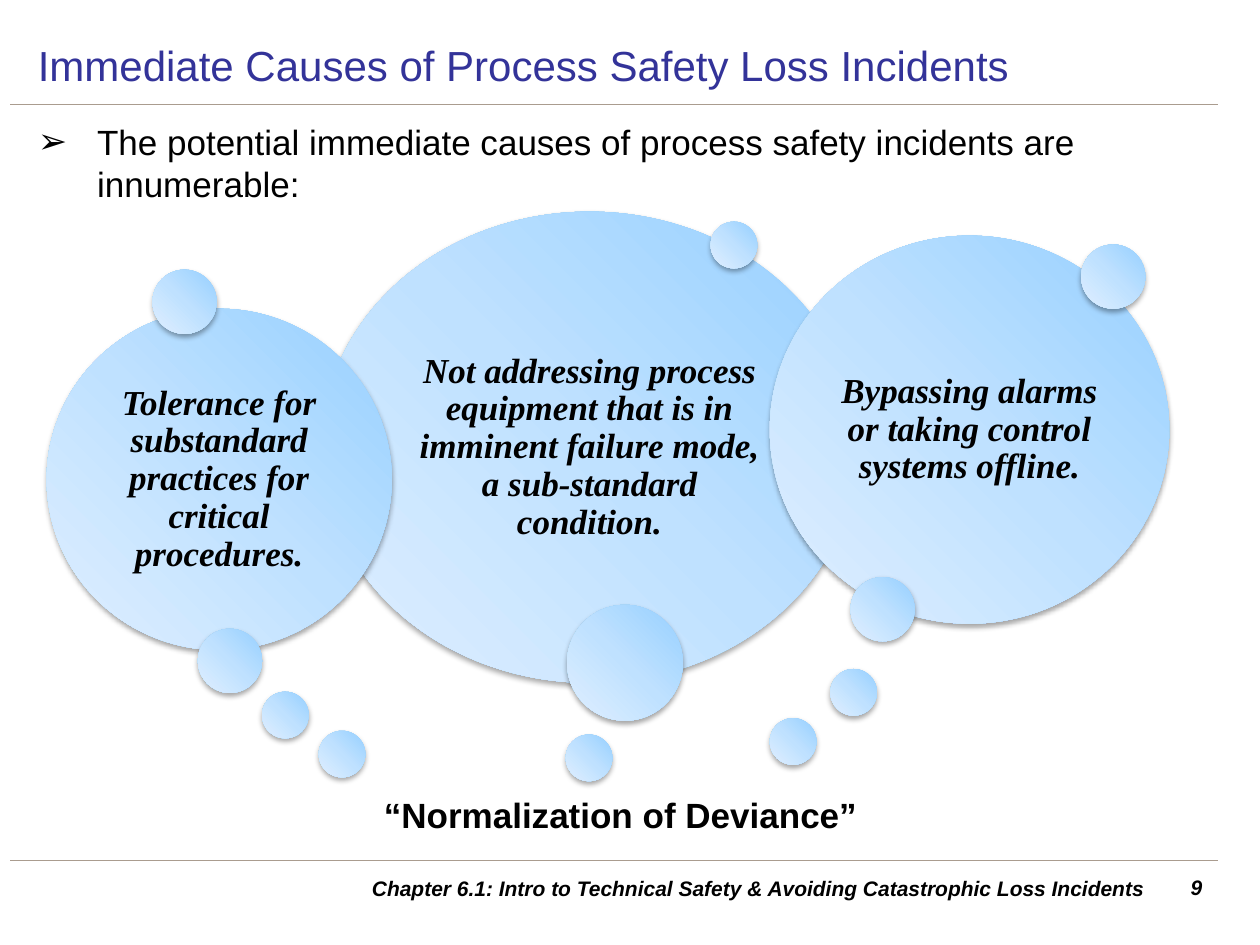
from pptx import Presentation
from pptx.dml.color import RGBColor
from pptx.enum.shapes import MSO_CONNECTOR, MSO_SHAPE
from pptx.enum.text import MSO_ANCHOR, MSO_AUTO_SIZE, PP_ALIGN
from pptx.oxml import parse_xml
from pptx.oxml.ns import nsdecls, qn
from pptx.util import Inches, Pt

BLACK = RGBColor(0x00, 0x00, 0x00)
NAVY = RGBColor(0x33, 0x33, 0x99)
TAUPE = RGBColor(0xAA, 0x9C, 0x8F)
BUBBLE_STOPS = (
    (0, RGBColor(0x96, 0xD0, 0xFF)),
    (50, RGBColor(0xBF, 0xE1, 0xFF)),
    (100, RGBColor(0xE0, 0xEF, 0xFF)),
)
SMALL, MEDIUM, LARGE = 0.37, 0.51, 0.92


class SlideBuilder:
    font = "Arial"
    bubble_font = "Times New Roman"

    def __init__(self, slide):
        self.s = slide

    def place(self, sp, left, top, width, height):
        sp.left, sp.top = Inches(left), Inches(top)
        sp.width, sp.height = Inches(width), Inches(height)

    def set_text(self, sp, text, size, align=PP_ALIGN.LEFT, color=BLACK,
                 anchor=MSO_ANCHOR.TOP, bold=False, italic=False, font=None):
        tf = sp.text_frame
        tf.text = text
        tf.word_wrap = True
        tf.auto_size = MSO_AUTO_SIZE.NONE
        tf.vertical_anchor = anchor
        p = tf.paragraphs[0]
        p.alignment = align
        p.space_before = Pt(0)
        f = p.runs[0].font
        f.name, f.size = font or self.font, Pt(size)
        f.bold, f.italic = bold, italic
        f.color.rgb = color
        return p

    def title(self, text, *box):
        sp = self.s.shapes.title
        self.place(sp, *box)
        self.set_text(sp, text, 24, color=NAVY, anchor=MSO_ANCHOR.MIDDLE)

    def body(self, text, *box):
        sp = self.s.placeholders[1]
        self.place(sp, *box)
        p = self.set_text(sp, text, 20)
        pPr = p._p.get_or_add_pPr()
        pPr.set("marL", str(Inches(0.47)))
        pPr.set("indent", str(-Inches(0.47)))
        pPr.append(parse_xml(f'<a:buChar {nsdecls("a")} char="➢"/>'))

    def label(self, text, box, size, **style):
        sp = self.s.shapes.add_textbox(*map(Inches, box))
        self.set_text(sp, text, size, bold=True, **style)

    def rule(self, y):
        line = self.s.shapes.add_connector(
            MSO_CONNECTOR.STRAIGHT, Inches(0.08), Inches(y), Inches(9.67), Inches(y))
        line.line.color.rgb = TAUPE
        line.line.width = Pt(0.75)
        line._element.spPr.append(parse_xml(f'<a:effectLst {nsdecls("a")}/>'))

    def bubble(self, left, top, width, height=None, text=None):
        """Add a shaded ellipse; without a height it is a circle."""
        sp = self.s.shapes.add_shape(
            MSO_SHAPE.OVAL, *map(Inches, (left, top, width, height or width)))
        sp.line.fill.background()
        sp.fill.background()
        sp.shadow.inherit = False
        spPr = sp._element.spPr
        stops = "".join(f'<a:gs pos="{pos * 1000}"><a:srgbClr val="{color}"/></a:gs>'
                        for pos, color in BUBBLE_STOPS)
        spPr.replace(spPr.find(qn("a:noFill")), parse_xml(
            f'<a:gradFill {nsdecls("a")} rotWithShape="1"><a:gsLst>{stops}</a:gsLst>'
            '<a:lin ang="8100000" scaled="0"/></a:gradFill>'))
        spPr.find(qn("a:effectLst")).append(parse_xml(
            f'<a:outerShdw {nsdecls("a")} blurRad="{Pt(3.1)}" dist="{Pt(1.8)}" '
            'dir="5400000" rotWithShape="0"><a:srgbClr val="000000">'
            '<a:alpha val="35000"/></a:srgbClr></a:outerShdw>'))
        if text:
            tf = sp.text_frame
            tf.margin_left = tf.margin_right = Inches(0.09)
            tf.margin_top = tf.margin_bottom = Inches(0.08)
            p = self.set_text(sp, text, 20, PP_ALIGN.CENTER, anchor=MSO_ANCHOR.MIDDLE,
                              bold=True, italic=True, font=self.bubble_font)
            p.line_spacing = 0.9


def main():
    prs = Presentation()
    prs.slide_width, prs.slide_height = Inches(10), Inches(7.5)
    b = SlideBuilder(prs.slides.add_slide(prs.slide_layouts[1]))

    b.title("Immediate Causes of Process Safety Loss Incidents", 0.2, 0.24, 9.45, 0.55)
    b.body("The potential immediate causes of process safety incidents are innumerable:",
           0.2, 0.91, 9.45, 0.8)
    for y in (0.83, 6.83):
        b.rule(y)

    # Back to front: each cause is followed by the small bubbles lying over it
    bubbles = (
        (2.55, 1.68, 4.26, 3.74, "Not addressing process equipment that is in "
                                 "imminent failure mode, a sub-standard condition."),
        (4.49, 5.83, SMALL),
        (5.64, 1.76, SMALL),
        (4.5, 4.8, LARGE),
        (0.37, 2.45, 2.74, 2.71,
         "Tolerance for substandard practices for critical procedures."),
        (1.21, 2.14, MEDIUM),
        (1.57, 4.99, MEDIUM),
        (2.08, 5.49, SMALL),
        (2.53, 5.8, SMALL),
        (6.11, 1.87, 3.17, 3.08, "Bypassing alarms or taking control systems offline."),
        (8.58, 1.94, MEDIUM),
        (6.75, 4.58, MEDIUM),
        (6.59, 5.31, SMALL),
        (6.11, 5.7, SMALL),
    )
    for bubble in bubbles:
        b.bubble(*bubble)

    b.label("“Normalization of Deviance”", (0.2, 6.25, 9.45, 0.44), 20,
            align=PP_ALIGN.CENTER)
    b.label("Chapter 6.1: Intro to Technical Safety & Avoiding Catastrophic Loss Incidents",
            (2.83, 6.89, 6.38, 0.31), 12, align=PP_ALIGN.CENTER,
            anchor=MSO_ANCHOR.MIDDLE, italic=True)
    b.label("9", (9.06, 6.89, 0.58, 0.31), 12, align=PP_ALIGN.RIGHT, italic=True)
    prs.save("out.pptx")


if __name__ == "__main__":
    main()
